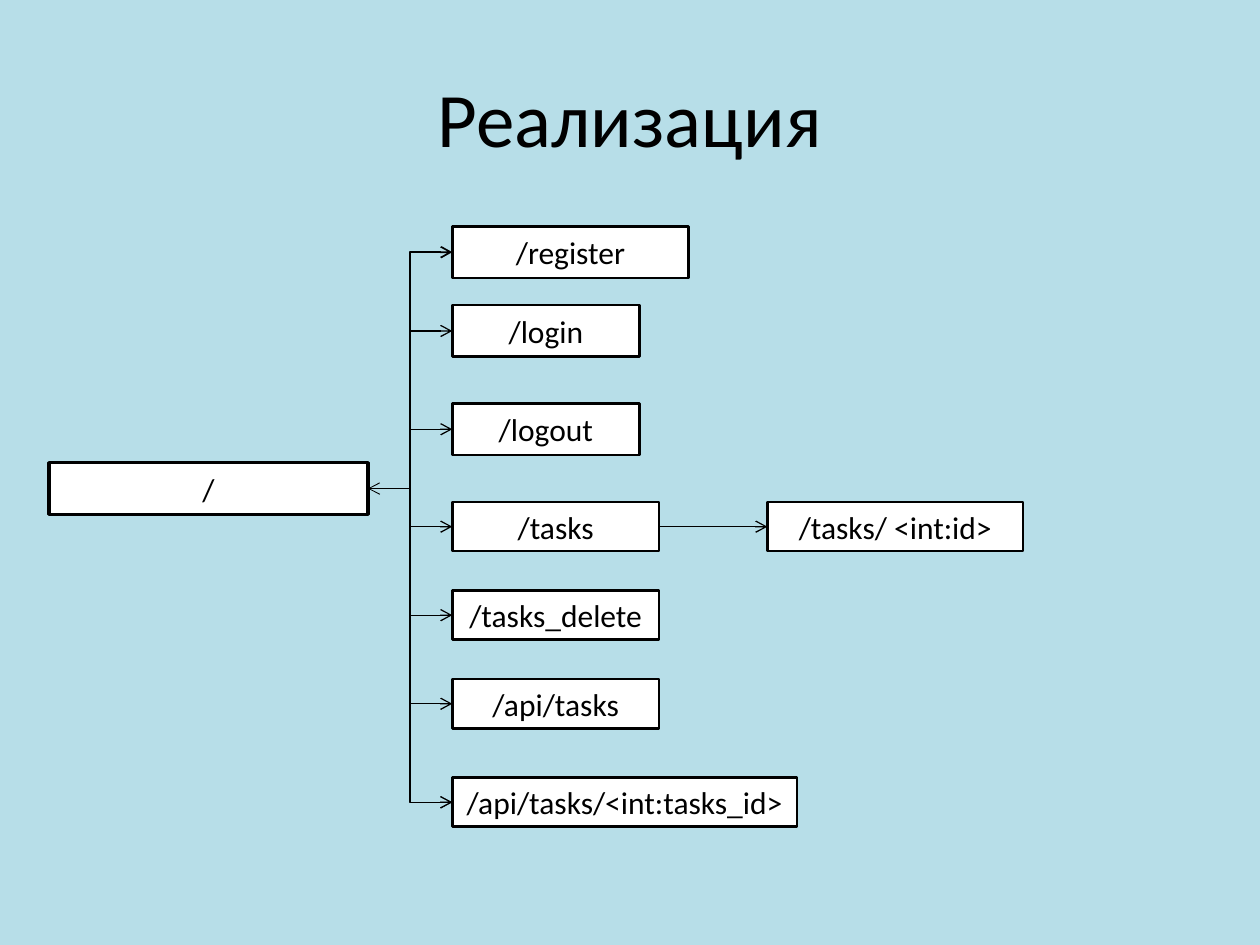
from pptx import Presentation
from pptx.dml.color import RGBColor
from pptx.enum.shapes import MSO_CONNECTOR, MSO_SHAPE
from pptx.enum.text import MSO_ANCHOR, PP_ALIGN
from pptx.oxml.ns import qn
from pptx.util import Pt
from lxml import etree

RECT = MSO_SHAPE.RECTANGLE
ELBOW = MSO_CONNECTOR.ELBOW
MIDDLE = MSO_ANCHOR.MIDDLE
CENTER = PP_ALIGN.CENTER
LEFT_SITE, RIGHT_SITE = 1, 3

COLORS = {"background": "B7DEE8", "box": "FFFFFF", "ink": "000000"}
FRAME = {"word_wrap": True, "vertical_anchor": MIDDLE}


class RouteMap:
    """Style and current slide of the route diagram."""

    font = "Calibri"

    def __init__(self, slide):
        self.slide = slide
        fill = slide.background.fill
        fill.solid()
        fill.fore_color.rgb = self.color("background")

    def color(self, key):
        return RGBColor.from_string(COLORS[key])

    def label(self, shape, text, size):
        frame = shape.text_frame
        for name, value in FRAME.items():
            setattr(frame, name, value)
        paragraph = frame.paragraphs[0]
        paragraph.alignment = CENTER
        run = paragraph.add_run()
        run.text = text
        for name, value in {"name": self.font, "size": Pt(size)}.items():
            setattr(run.font, name, value)
        run.font.color.rgb = self.color("ink")

    def title(self, text, left, top, width, height):
        box = self.slide.shapes.add_textbox(
            Pt(left), Pt(top), Pt(width), Pt(height))
        self.label(box, text, 44)

    def route(self, text, left, top, width, height, weight=1.5):
        box = self.slide.shapes.add_shape(
            RECT, Pt(left), Pt(top), Pt(width), Pt(height))
        box.shadow.inherit = False
        box.fill.solid()
        box.fill.fore_color.rgb = self.color("box")
        box.line.color.rgb = self.color("ink")
        box.line.width = Pt(weight)
        self.label(box, text, 18)
        return box

    def arrow(self, source, target, weight=0.75, ends=("tailEnd",)):
        link = self.slide.shapes.add_connector(ELBOW, 0, 0, 0, 0)
        link.begin_connect(source, RIGHT_SITE)
        link.end_connect(target, LEFT_SITE)
        link.line.color.rgb = self.color("ink")
        link.line.width = Pt(weight)
        properties = link._element.spPr
        line = properties.find(qn("a:ln"))
        for end in ends:
            etree.SubElement(line, qn("a:" + end), type="arrow")
        etree.SubElement(properties, qn("a:effectLst"))


prs = Presentation()
prs.slide_width, prs.slide_height = Pt(720), Pt(540)
routes = RouteMap(prs.slides.add_slide(prs.slide_layouts[6]))

# Title
routes.title("Реализация", 36, 21.6, 648, 90)

# Root route
root = routes.route("/", 28, 264.4, 182.3, 29.5, weight=2)

# Child routes: text, top, width, height, arrow weight
CHILD_LEFT = 258.5
CHILDREN = [
    ("/register", 129.4, 135, 29.5, 1),
    ("/login", 174.4, 106.9, 29.5, 0.75),
    ("/logout", 230.6, 106.9, 29.5, 0.75),
    ("/tasks", 286.9, 118.1, 28.1, 0.75),
    ("/tasks_delete", 337.5, 118.1, 28.1, 0.75),
    ("/api/tasks", 388.1, 118.1, 28.1, 0.75),
    ("/api/tasks/<int:tasks_id>", 444.4, 196.9, 28.1, 0.75),
]
children = {}
for text, top, width, height, weight in CHILDREN:
    children[text] = routes.route(text, CHILD_LEFT, top, width, height)
    routes.arrow(root, children[text], weight)

# Single task route
task = routes.route("/tasks/ <int:id>", 438.5, 286.9, 146.2, 28.1)
routes.arrow(children["/tasks"], task)

# Two-way link between the root and the task API
routes.arrow(root, children["/api/tasks/<int:tasks_id>"], 0.5,
             ends=("headEnd", "tailEnd"))

prs.save("out.pptx")
